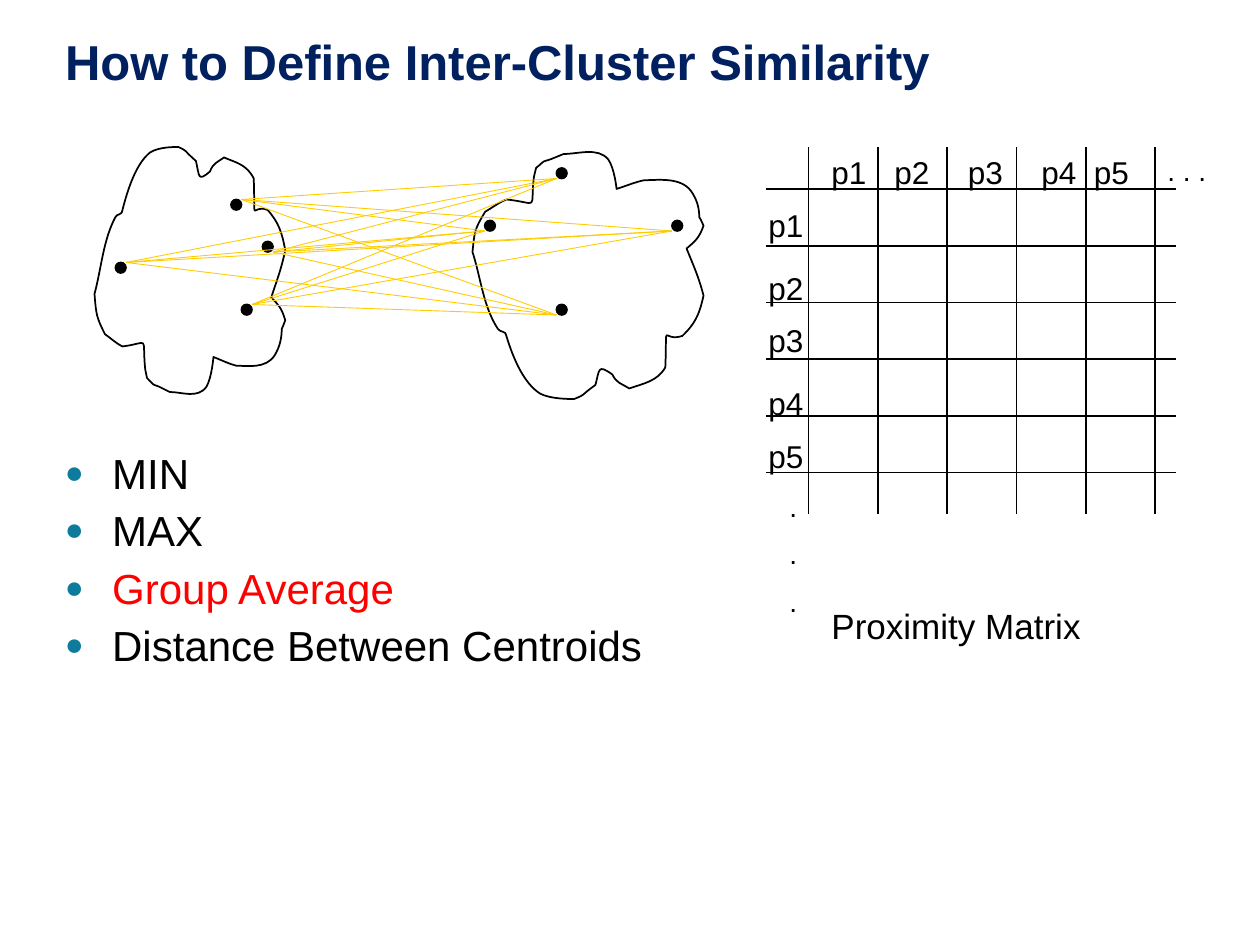
from dataclasses import dataclass
from itertools import product

from lxml import etree
from pptx import Presentation
from pptx.dml.color import RGBColor
from pptx.enum.shapes import MSO_CONNECTOR, MSO_SHAPE
from pptx.enum.text import MSO_ANCHOR, MSO_AUTO_SIZE, PP_ALIGN
from pptx.oxml.ns import qn
from pptx.util import Pt

STRAIGHT = MSO_CONNECTOR.STRAIGHT
OVAL = MSO_SHAPE.OVAL
LEFT = PP_ALIGN.LEFT
BOTTOM = MSO_ANCHOR.BOTTOM
NO_FIT = MSO_AUTO_SIZE.NONE


@dataclass(frozen=True)
class Theme:
    """Colours, font and type sizes of the slide."""
    font: str = "Arial"
    ink: str = "000000"
    title: str = "002060"
    accent: str = "FF0000"
    bullet: str = "0C7B9C"
    link: str = "FFCC00"
    title_size: int = 28
    body_size: int = 24
    caption_size: int = 20
    label_size: int = 18
    dots_size: int = 16


T = Theme()
DOT = 6
OUTLINE_W, OUTLINE_H = 109, 144
OUTLINE_START = (12, 40)
OUTLINE_CURVES = [
    (5, 53, 4, 69, 0, 84), (1, 96, 1, 97, 6, 107),
    (9, 109, 12, 112, 16, 114), (32, 112, 27, 107, 29, 127),
    (29, 129, 30, 130, 30, 132), (35, 137, 32, 135, 37, 137),
    (39, 138, 43, 140, 43, 140), (50, 140, 59, 144, 64, 137),
    (67, 132, 68, 120, 68, 120), (73, 122, 77, 124, 81, 125),
    (87, 125, 98, 127, 103, 119), (106, 114, 107, 109, 107, 104),
    (108, 102, 109, 99, 109, 99), (107, 92, 105, 90, 101, 86),
    (104, 77, 107, 69, 109, 59), (107, 48, 105, 43, 99, 36),
    (89, 32, 92, 47, 91, 18), (87, 10, 81, 9, 74, 6),
    (70, 9, 68, 9, 66, 14), (59, 20, 60, 17, 58, 8),
    (50, 1, 54, 3, 48, 0), (45, 0, 37, 0, 32, 3),
    (24, 9, 19, 24, 16, 36), (16, 39, 13, 38, 12, 40),
]
LEFT_DOTS = [(138, 174), (150, 138), (66, 150), (132, 114)]
LEFT_ENDS = [(144, 174), (156, 144), (72, 150), (138, 114)]
RIGHT_DOTS = [(318, 174), (277, 126), (318, 96), (384, 126)]
POINTS = ["p1", "p2", "p3", "p4", "p5"]
COLUMN_X = [468, 504, 546, 588, 618]
ROW_Y = [114, 150, 180, 216, 246]
MEASURES = ["MIN", "MAX", "Group Average", "Distance Between Centroids"]


def write(p, text, size, color=T.ink, bold=False):
    """Add one formatted run to a paragraph."""
    r = p.add_run()
    r.text = text
    r.font.name = T.font
    r.font.size = Pt(size)
    r.font.bold = bold
    r.font.color.rgb = RGBColor.from_string(color)


def add_text(shapes, lines, x, y, w, h, size, before=0, after=0, marked=None, bullets=False):
    """Add a text box with one paragraph per line."""
    tf = shapes.add_textbox(Pt(x), Pt(y), Pt(w), Pt(h)).text_frame
    tf.word_wrap = True
    for i, line in enumerate(lines):
        p = tf.add_paragraph() if i else tf.paragraphs[0]
        p.space_before, p.space_after = Pt(before), Pt(after)
        write(p, line, size, T.accent if line == marked else T.ink)
        if bullets:
            add_bullet(p)


def add_bullet(p):
    """Give a paragraph a coloured hanging bullet."""
    pPr = p._p.get_or_add_pPr()
    pPr.set("marL", str(Pt(27)))
    pPr.set("indent", str(Pt(-27)))
    color = etree.SubElement(pPr, qn("a:buClr"))
    etree.SubElement(color, qn("a:srgbClr"), val=T.bullet)
    etree.SubElement(pPr, qn("a:buSzPct"), val="75000")
    etree.SubElement(pPr, qn("a:buFont"), typeface=T.font)
    etree.SubElement(pPr, qn("a:buChar"), char="●")


def add_line(shapes, start, end, color=T.ink, width=1):
    """Add a straight line between two points."""
    c = shapes.add_connector(STRAIGHT, *(Pt(v) for v in (*start, *end)))
    c.line.color.rgb = RGBColor.from_string(color)
    c.line.width = Pt(width)
    etree.SubElement(c._element.spPr, qn("a:effectLst"))


def add_curve(shapes, start, curves):
    """Add a closed outline of cubic curves, each two controls and an end."""
    fb = shapes.build_freeform(*start)
    fb.add_line_segments([curve[-1] for curve in curves], close=True)
    sp = fb.convert_to_shape()
    segments = list(sp._element.iter(qn("a:lnTo")))
    for segment, curve in zip(segments, curves):
        bezier = etree.Element(qn("a:cubicBezTo"))
        for x, y in curve:
            etree.SubElement(bezier, qn("a:pt"), x=str(x - sp.left), y=str(y - sp.top))
        segment.getparent().replace(segment, bezier)
    return sp


def add_cluster(shapes, x, y, w, dots, flip=False):
    """Add a cluster outline, optionally upside down, and its dots."""
    def place(px, py):
        """Map an outline point to the slide."""
        return Pt(x + px * w / OUTLINE_W), Pt(y + (OUTLINE_H - py if flip else py))

    curves = [[place(*c[i:i + 2]) for i in (0, 2, 4)] for c in OUTLINE_CURVES]
    sp = add_curve(shapes, place(*OUTLINE_START), curves)
    sp.fill.background()
    style_outline(sp)
    for dx, dy in dots:
        sp = shapes.add_shape(OVAL, Pt(dx), Pt(dy), Pt(DOT), Pt(DOT))
        sp.fill.solid()
        sp.fill.fore_color.rgb = RGBColor.from_string(T.ink)
        style_outline(sp)


def style_outline(sp):
    """Give a shape a thin dark line and no shadow."""
    sp.shadow.inherit = False
    sp.line.color.rgb = RGBColor.from_string(T.ink)
    sp.line.width = Pt(1)


def add_matrix(shapes):
    """Add the proximity matrix grid with its labels."""
    for i in range(6):
        x, y = 462 + 39.6 * i, 108 + 32.4 * i
        add_line(shapes, (x, 84), (x, 294))
        add_line(shapes, (438, y), (672, y))
    for name, x, y in zip(POINTS, COLUMN_X, ROW_Y):
        add_text(shapes, [name], x, 84, 42, 29, T.label_size, before=6)
        add_text(shapes, [name], 432, y, 42, 29, T.label_size, before=6)
    add_text(shapes, [". . ."], 660, 84, 42, 26, T.dots_size, before=8)
    add_text(shapes, ["."] * 3, 444, 276, 42, 81, T.dots_size, before=8)


def add_title(s, text):
    """Place and format the title placeholder."""
    sp = s.shapes.title
    sp.left, sp.top, sp.width, sp.height = Pt(30), Pt(12), Pt(652), Pt(43)
    tf = sp.text_frame
    tf.auto_size = NO_FIT
    tf.vertical_anchor = BOTTOM
    tf.paragraphs[0].alignment = LEFT
    write(tf.paragraphs[0], text, T.title_size, T.title, bold=True)


def main():
    """Build and save the slide."""
    prs = Presentation()
    prs.slide_width, prs.slide_height = Pt(720), Pt(540)
    s = prs.slides.add_slide(prs.slide_layouts[5])
    add_title(s, "How to Define Inter-Cluster Similarity")
    add_matrix(s.shapes.add_group_shape().shapes)
    add_cluster(s.shapes, 54, 84, 109, LEFT_DOTS)
    add_cluster(s.shapes, 270, 84, 132, RIGHT_DOTS, flip=True)
    for start, (x, y) in product(LEFT_ENDS, RIGHT_DOTS):
        add_line(s.shapes, start, (x, y + DOT), T.link, 0.5)
    add_text(s.shapes, ["Proximity Matrix"], 468, 342, 198, 31, T.caption_size, before=10)
    add_text(s.shapes, MEASURES, 30, 252, 456, 246, T.body_size, before=2, after=2,
             marked="Group Average", bullets=True)
    prs.save("out.pptx")


if __name__ == "__main__":
    main()
